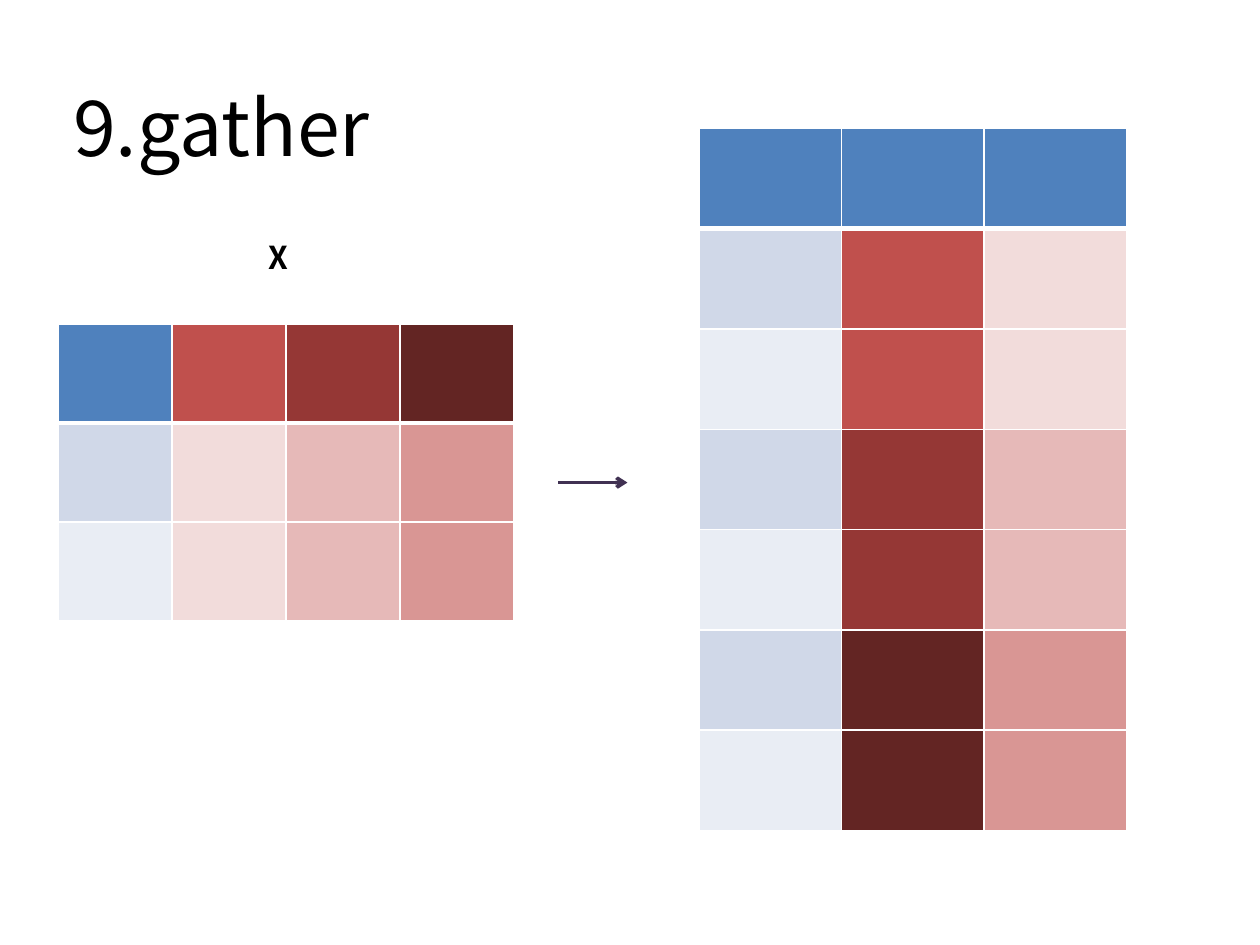
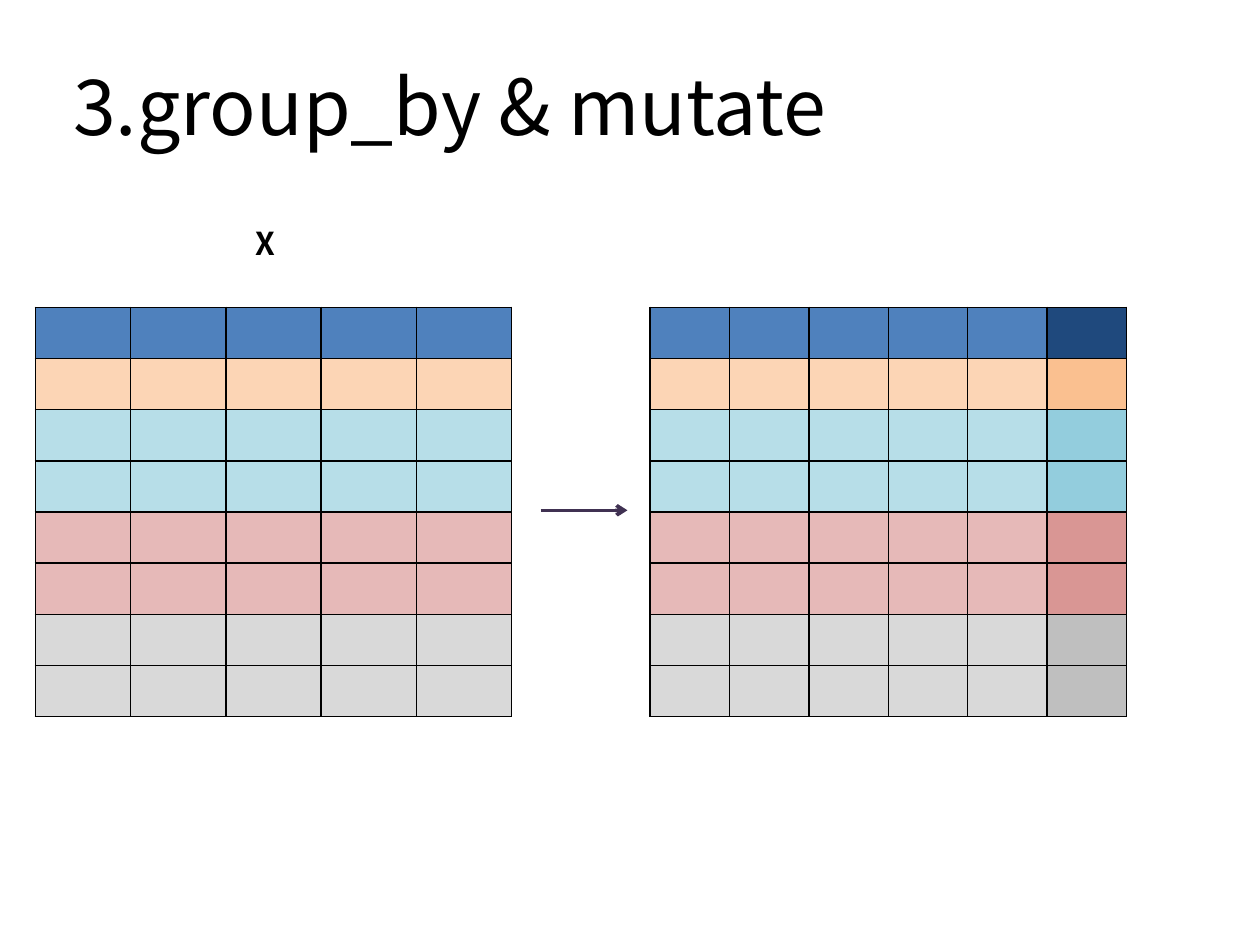
from collections import namedtuple

from lxml.etree import SubElement
from pptx import Presentation
from pptx.dml.color import RGBColor
from pptx.enum.shapes import MSO_CONNECTOR
from pptx.enum.text import MSO_ANCHOR, MSO_AUTO_SIZE, PP_ALIGN
from pptx.oxml.ns import qn
from pptx.util import Inches, Pt

SLIDE_WIDTH, SLIDE_HEIGHT = Inches(10), Inches(7.5)
GRID_COLUMNS, GRID_ROWS = 100, 75
COLUMN, ROW = SLIDE_WIDTH / GRID_COLUMNS, SLIDE_HEIGHT / GRID_ROWS

FONT = "Noto Sans CJK KR"
TITLE_LAYOUT = 5
COLORS = {
    "text": "000000", "arrow": "403152", "white": "FFFFFF", "black": "000000",
    "blue": "4F81BD", "navy": "1F497D", "band": "D0D8E8", "pale band": "E9EDF4",
    "red": "C0504D", "dark red": "953735", "maroon": "632523",
    "pale pink": "F2DCDB", "pink": "E6B9B8", "rose": "D99694",
    "peach": "FCD5B5", "orange": "FAC090", "aqua": "B7DEE8", "teal": "93CDDD",
    "light gray": "D9D9D9", "gray": "BFBFBF",
}
TITLE_FORMAT = {"name": FONT, "size": Pt(44), "bold": False}
LABEL_FORMAT = {"name": FONT, "size": Pt(18), "bold": True}

# Boxes are counted in grid columns and rows.
Box = namedtuple("Box", "left top width height")


def to_lengths(box):
    return (round(box.left * COLUMN), round(box.top * ROW),
            round(box.width * COLUMN), round(box.height * ROW))


def rgb(name):
    return RGBColor.from_string(COLORS[name])


def write(text_frame, text, font_format):
    text_frame.word_wrap = True
    paragraph = text_frame.paragraphs[0]
    paragraph.alignment = PP_ALIGN.LEFT
    run = paragraph.add_run()
    run.text = text
    for attribute, value in font_format.items():
        setattr(run.font, attribute, value)
    run.font.color.rgb = rgb("text")


def add_title(slide, box, text):
    title = slide.shapes.title
    title.left, title.top, title.width, title.height = to_lengths(box)
    title.text_frame.vertical_anchor = MSO_ANCHOR.MIDDLE
    write(title.text_frame, text, TITLE_FORMAT)


def add_label(slide, box, text):
    label = slide.shapes.add_textbox(*to_lengths(box))
    write(label.text_frame, text, LABEL_FORMAT)
    label.text_frame.auto_size = MSO_AUTO_SIZE.SHAPE_TO_FIT_TEXT


def add_arrow(slide, box):
    """Draw a horizontal arrow along the top edge of the box."""
    left, top, width, _ = to_lengths(box)
    arrow = slide.shapes.add_connector(
        MSO_CONNECTOR.STRAIGHT, left, top, left + width, top)
    arrow.line.color.rgb = rgb("arrow")
    arrow.line.width = Pt(2)
    SubElement(arrow.line._get_or_add_ln(), qn("a:tailEnd"), type="arrow")
    SubElement(arrow._element.spPr, qn("a:effectLst"))


def set_borders(cell, color, widths):
    properties = cell._tc.get_or_add_tcPr()
    for side, width in widths.items():
        line = SubElement(properties, qn(f"a:ln{side}"), w=str(Pt(width)))
        fill = SubElement(line, qn("a:solidFill"))
        SubElement(fill, qn("a:srgbClr"), val=COLORS[color])


def set_empty_font(cell):
    """Give an empty cell the deck's font, which decides its least height."""
    paragraph = cell.text_frame.paragraphs[0]._p
    end = SubElement(paragraph, qn("a:endParaRPr"), sz="1800")
    for script in ("latin", "ea"):
        SubElement(end, qn(f"a:{script}"), typeface=FONT)


def add_color_table(slide, box, color_rows, border, header_rule=1):
    """Fill the box with an even table, one colour name for each cell."""
    frame = slide.shapes.add_table(
        len(color_rows), len(color_rows[0]), *to_lengths(box))
    table = frame.table
    table.first_row = table.horz_banding = False
    for row_index, color_row in enumerate(color_rows):
        widths = {"L": 1, "R": 1,
                  "T": header_rule if row_index == 1 else 1,
                  "B": header_rule if row_index == 0 else 1}
        for column_index, color in enumerate(color_row):
            cell = table.cell(row_index, column_index)
            set_borders(cell, border, widths)
            cell.fill.solid()
            cell.fill.fore_color.rgb = rgb(color)
            set_empty_font(cell)


def add_step_slide(presentation, title, boxes, before, after, **table_style):
    """Show a table, an arrow and the table that results."""
    slide = presentation.slides.add_slide(
        presentation.slide_layouts[TITLE_LAYOUT])
    add_title(slide, boxes["title"], title)
    add_label(slide, boxes["label"], "X")
    add_color_table(slide, boxes["before"], before, **table_style)
    add_arrow(slide, boxes["arrow"])
    add_color_table(slide, boxes["after"], after, **table_style)


def add_gather_slide(presentation):
    bands = ["band", "pale band"]
    values_by_key = {"red": "pale pink", "dark red": "pink", "maroon": "rose"}
    wide = [["blue", *values_by_key]]
    wide += [[band, *values_by_key.values()] for band in bands]
    long = [["blue"] * 3]
    long += [[band, key, value]
             for key, value in values_by_key.items() for band in bands]
    boxes = {
        "title": Box(4.8, 5.2, 90, 9.5),
        "label": Box(20.3, 18.4, 7.9, 4),
        "before": Box(4.6, 25.7, 36.2, 23.6),
        "arrow": Box(44.3, 38.3, 5.5, 0),
        "after": Box(55.5, 10.2, 33.9, 55.7),
    }
    add_step_slide(presentation, "9.gather", boxes, wide, long,
                   border="white", header_rule=3)


def add_group_mutate_slide(presentation):
    groups = [("blue", "navy", 1), ("peach", "orange", 1), ("aqua", "teal", 2),
              ("pink", "rose", 2), ("light gray", "gray", 2)]
    rows = [(color, added) for color, added, count in groups
            for _ in range(count)]
    grouped = [[color] * 5 for color, _ in rows]
    mutated = [[color] * 5 + [added] for color, added in rows]
    before = Box(2.8, 24.4, 37.8, 32.5)
    boxes = {
        "title": Box(4.8, 3.6, 90, 9.5),
        "label": Box(19.3, 17.3, 7.9, 4),
        "before": before,
        "arrow": Box(42.9, 40.5, 6.9, 0),
        "after": before._replace(left=51.6),
    }
    add_step_slide(presentation, "3.group_by & mutate", boxes, grouped, mutated,
                   border="black")


def main():
    presentation = Presentation()
    presentation.slide_width = SLIDE_WIDTH
    presentation.slide_height = SLIDE_HEIGHT
    add_gather_slide(presentation)
    add_group_mutate_slide(presentation)
    presentation.save("out.pptx")


if __name__ == "__main__":
    main()
